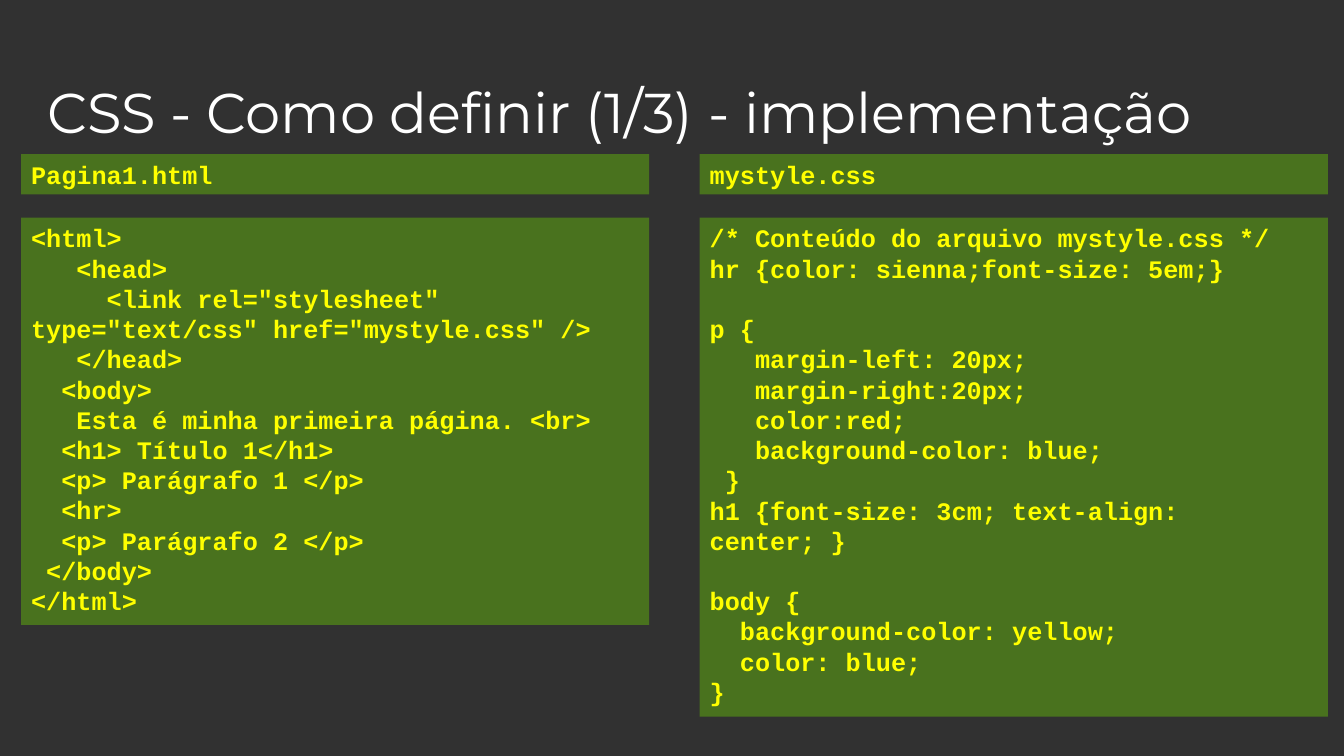
from pptx import Presentation
from pptx.dml.color import RGBColor
from pptx.enum.shapes import MSO_SHAPE as Shape
from pptx.enum.text import MSO_ANCHOR as Anchor, PP_ALIGN as Align
from pptx.util import Inches, Pt

HTML_CODE = """<html>
   <head>
     <link rel="stylesheet" type="text/css" href="mystyle.css" />
   </head>
  <body>
   Esta é minha primeira página. <br>
  <h1> Título 1</h1>
  <p> Parágrafo 1 </p>
  <hr>
  <p> Parágrafo 2 </p>
 </body>
</html>"""

CSS_CODE = """/* Conteúdo do arquivo mystyle.css */
hr {color: sienna;font-size: 5em;}

p {
   margin-left: 20px;
   margin-right:20px;
   color:red;
   background-color: blue;
 }
h1 {font-size: 3cm; text-align: center; }

body {
  background-color: yellow;
  color: blue;
}"""


def color(hex_code):
    return RGBColor.from_string(hex_code)


class CodeSlide:
    BACKGROUND, PANEL, CODE, TITLE = "313131", "49721E", "FFFF00", "FFFFFF"
    CODE_FONT, TITLE_FONT = "Courier New", "Montserrat"
    CODE_SIZE, TITLE_SIZE = 18, 40
    CHAR_WIDTH = Pt(CODE_SIZE * 0.6)
    LINE_HEIGHT = Pt(CODE_SIZE * 1.2)

    def __init__(self, deck):
        self.slide = deck.slides.add_slide(deck.slide_layouts[6])
        fill = self.slide.background.fill
        fill.solid()
        fill.fore_color.rgb = color(self.BACKGROUND)

    def style(self, paragraph, font, size, hex_code, bold=False):
        for run in paragraph.runs:
            run.font.name = font
            run.font.size = Pt(size)
            run.font.bold = bold
            run.font.color.rgb = color(hex_code)

    def title(self, text, left, top, width, height):
        box = self.slide.shapes.add_textbox(
            Inches(left), Inches(top), Inches(width), Inches(height))
        frame = box.text_frame
        frame.word_wrap = True
        frame.vertical_anchor = Anchor.MIDDLE
        frame.text = text
        self.style(frame.paragraphs[0], self.TITLE_FONT, self.TITLE_SIZE, self.TITLE)

    def panel(self, code, left, top, width, height):
        """Draw code on a filled panel, turning its layout into indents and spacing."""
        panel = self.slide.shapes.add_shape(
            Shape.RECTANGLE, Inches(left), Inches(top), Inches(width), Inches(height))
        panel.shadow.inherit = False
        panel.fill.solid()
        panel.fill.fore_color.rgb = color(self.PANEL)
        panel.line.fill.background()
        frame = panel.text_frame
        frame.word_wrap = True
        frame.vertical_anchor = Anchor.TOP

        lines = code.split("\n")
        frame.text = "\n".join(line.strip() for line in lines if line)
        paragraphs = iter(frame.paragraphs)
        after_gap = False
        for line in lines:
            if line:
                paragraph = next(paragraphs)
                paragraph.alignment = Align.LEFT
                if after_gap:
                    paragraph.space_before = self.LINE_HEIGHT
                spaces = len(line) - len(line.lstrip())
                if spaces:
                    properties = paragraph._p.get_or_add_pPr()
                    properties.set("marL", "0")
                    properties.set("indent", str(spaces * self.CHAR_WIDTH))
                self.style(paragraph, self.CODE_FONT, self.CODE_SIZE, self.CODE, bold=True)
            after_gap = not line


def main():
    deck = Presentation()
    deck.slide_width, deck.slide_height = Inches(13.33), Inches(7.5)
    page = CodeSlide(deck)
    page.title("CSS - Como definir (1/3) - implementação", 0.37, 0.4, 12.62, 1.4)

    panel_width = 6.23
    files = [
        ("Pagina1.html", HTML_CODE, 0.21, 4.04),
        ("mystyle.css", CSS_CODE, 6.94, 4.95),
    ]
    for name, code, left, height in files:
        page.panel(name, left, 1.53, panel_width, 0.4)
        page.panel(code, left, 2.16, panel_width, height)
    deck.save("out.pptx")


if __name__ == "__main__":
    main()
